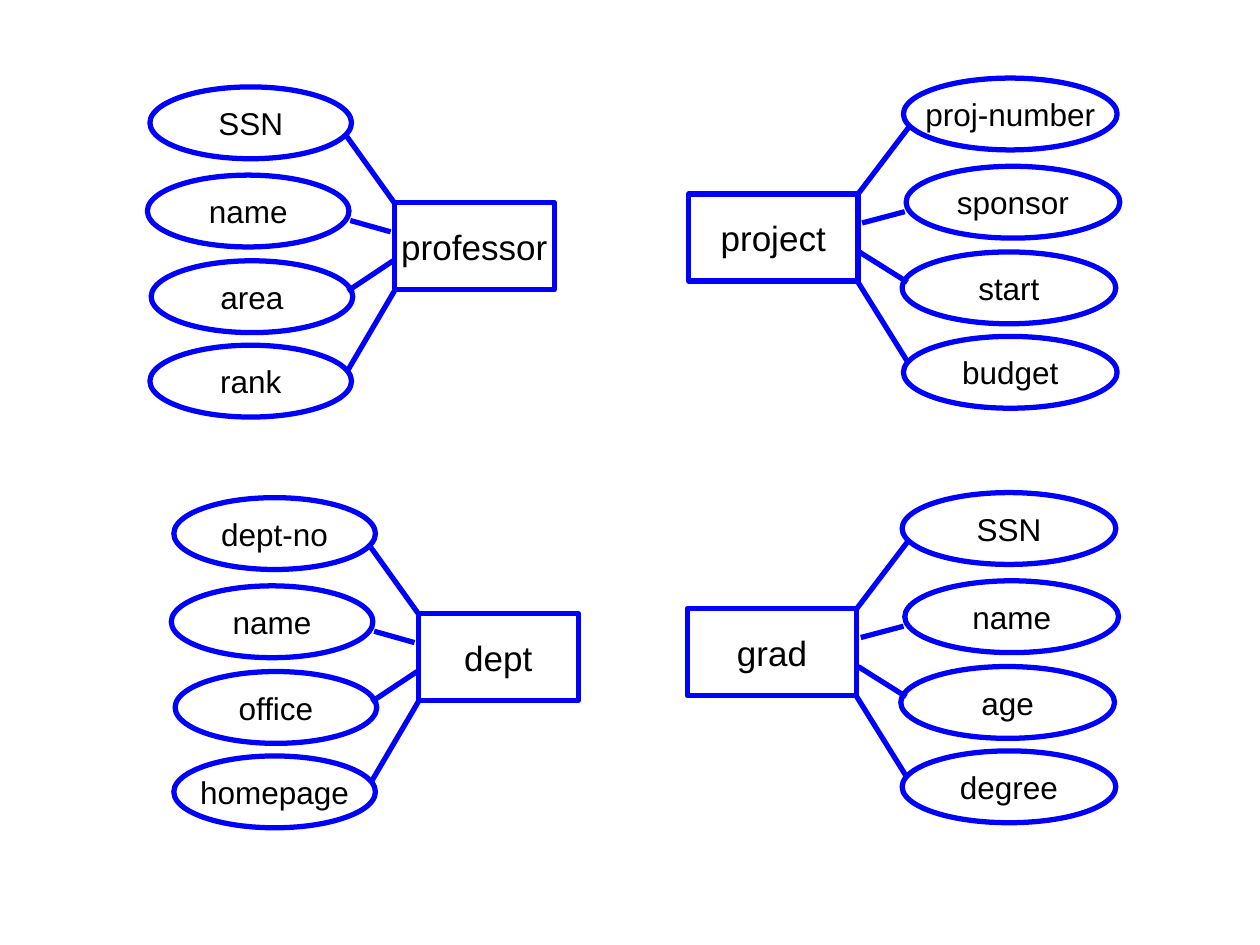
from pptx import Presentation
from pptx.dml.color import RGBColor
from pptx.enum.shapes import MSO_CONNECTOR, MSO_SHAPE
from pptx.enum.text import MSO_ANCHOR, PP_ALIGN
from pptx.util import Inches, Pt
from lxml import etree

RECT, OVAL = MSO_SHAPE.RECTANGLE, MSO_SHAPE.OVAL
STRAIGHT = MSO_CONNECTOR.STRAIGHT
MIDDLE, CENTER = MSO_ANCHOR.MIDDLE, PP_ALIGN.CENTER
BLUE, BLACK = "0000FF", "000000"
A_NS = "http://schemas.openxmlformats.org/drawingml/2006/main"

# name, attributes, inner box edge x, box top y, direction of attributes, stretch
ENTITIES = [
    ("professor", ["SSN", "name", "area", "rank"], 3.13, 1.61, -1, 1),
    ("project", ["proj-number", "sponsor", "start", "budget"], 6.81, 1.54, 1, 1.06),
    ("dept", ["dept-no", "name", "office", "homepage"], 3.32, 4.87, -1, 1),
    ("grad", ["SSN", "name", "age", "degree"], 6.8, 4.83, 1, 1.06),
]
BOX_W, BOX_H = 1.27, 0.69
OVAL_W, OVAL_H = 1.6, 0.57
OVAL_OFFSETS = [(0.34, -0.92), (0.36, -0.22), (0.33, 0.46), (0.34, 1.13)]
LINK_OFFSETS = [
    ((0, 0), (0.38, -0.53)),
    ((0.03, 0.23), (0.35, 0.14)),
    ((0.01, 0.46), (0.37, 0.7)),
    ((0, 0.7), (0.37, 1.33)),
]


def color(hex_text):
    """Turn a hex string into a colour."""
    return RGBColor.from_string(hex_text)


def style_line(line):
    """Give an outline or link the diagram stroke."""
    line.color.rgb = color(BLUE)
    line.width = Pt(3)


def add_node(group, kind, text, x, y, w, h, size):
    """Add an outlined shape with a centred label."""
    sp = group.shapes.add_shape(kind, Inches(x), Inches(y), Inches(w), Inches(h))
    sp.shadow.inherit = False
    sp.fill.background()
    style_line(sp.line)
    tf = sp.text_frame
    tf.word_wrap = False
    tf.vertical_anchor = MIDDLE
    p = tf.paragraphs[0]
    p.alignment = CENTER
    r = p.add_run()
    r.text = text
    for name, value in {"name": "Arial", "size": Pt(size)}.items():
        setattr(r.font, name, value)
    r.font.color.rgb = color(BLACK)


def add_link(group, start, end):
    """Add a straight link without a shadow."""
    ends = [Inches(v) for v in (*start, *end)]
    link = group.shapes.add_connector(STRAIGHT, *ends)
    style_line(link.line)
    etree.SubElement(link._element.spPr, f"{{{A_NS}}}effectLst")


def add_entity(s, name, attributes, edge, top, side, stretch):
    """Add an entity box with its attributes fanned out to one side."""
    group = s.shapes.add_group_shape()
    box_w, oval_w = BOX_W * stretch, OVAL_W * stretch

    def place(offset):
        """Turn an offset from the inner box corner into a slide point."""
        return edge + side * stretch * offset[0], top + offset[1]

    add_node(group, RECT, name, edge if side < 0 else edge - box_w, top,
             box_w, BOX_H, 20)
    for text, offset in zip(attributes, OVAL_OFFSETS):
        x, y = place(offset)
        add_node(group, OVAL, text, x - oval_w if side < 0 else x, y,
                 oval_w, OVAL_H, 18)
    for start, end in LINK_OFFSETS:
        add_link(group, place(start), place(end))


def main():
    """Build the entity diagram slide."""
    prs = Presentation()
    prs.slide_width, prs.slide_height = Inches(10), Inches(7.5)
    s = prs.slides.add_slide(prs.slide_layouts[6])
    for entity in ENTITIES:
        add_entity(s, *entity)
    prs.save("out.pptx")


if __name__ == "__main__":
    main()
